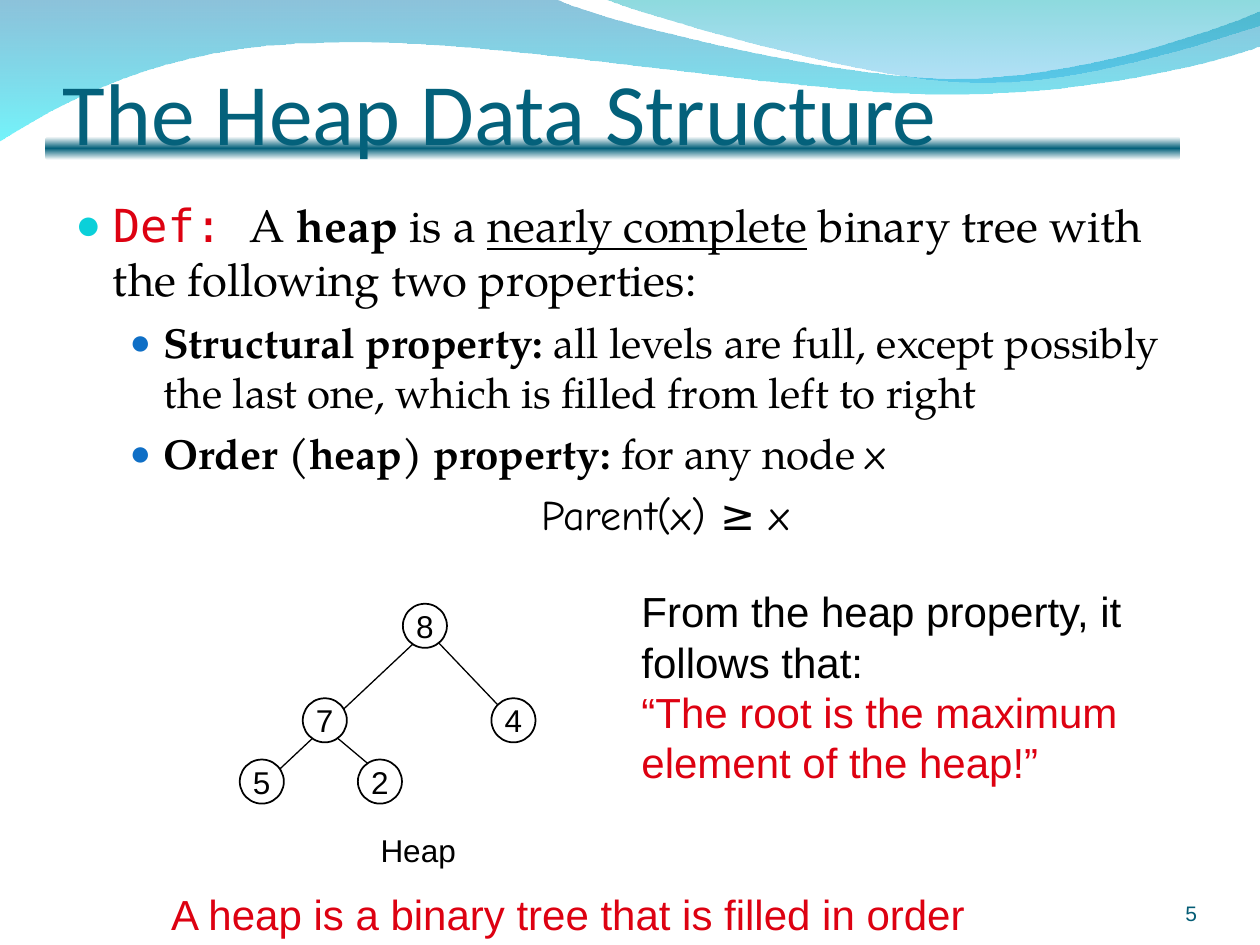
from copy import deepcopy
from lxml import etree
from pptx import Presentation
from pptx.dml.color import RGBColor
from pptx.enum.shapes import MSO_CONNECTOR as CONN, MSO_SHAPE as SHAPE
from pptx.enum.text import MSO_ANCHOR as ANCHOR, MSO_AUTO_SIZE as AUTO, PP_ALIGN as ALIGN
from pptx.oxml.ns import qn
from pptx.util import Pt

BLACK = RGBColor(0x00, 0x00, 0x00)
WHITE = RGBColor(0xFF, 0xFF, 0xFF)
RED = RGBColor(0xDD, 0x01, 0x11)
TEAL = RGBColor(0x04, 0x61, 0x7B)
NUMBER = RGBColor(0x04, 0x5C, 0x75)
CYAN = RGBColor(0x0B, 0xD0, 0xD9)
BLUE = RGBColor(0x0F, 0x6F, 0xC6)
WAVE_BLUE = RGBColor(0x00, 0x79, 0xAF)
WAVE_AQUA = RGBColor(0x00, 0xEB, 0xF8)
CREST_GREEN = RGBColor(0x00, 0xAD, 0xB6)
CREST_BLUE = RGBColor(0x00, 0x9B, 0xE5)

SERIF, MONO, HAND = "TeX Gyre Pagella", "DejaVu Sans Mono", "Comic Neue"


def fill_gradient(sp, stops):
    """Fill top to bottom with (position %, colour, opacity %) stops, no line."""
    sp.shadow.inherit = False
    sp.line.fill.background()
    sp.fill.gradient()
    sp.fill.gradient_angle = 270
    gs_list = sp.element.spPr.find(qn("a:gradFill")).find(qn("a:gsLst"))
    while len(gs_list) < len(stops):
        gs_list.append(deepcopy(gs_list[0]))
    for gs, stop, (pos, color, opacity) in zip(gs_list, sp.fill.gradient_stops, stops):
        stop.position = pos / 100
        stop.color.rgb = color
        if opacity < 100:
            etree.SubElement(gs[0], qn("a:alpha")).set("val", str(opacity * 1000))


def add_run(p, text, font, size, color, bold=False, underline=False):
    r = p.add_run()
    r.text = text
    r.font.name, r.font.size, r.font.color.rgb = font, Pt(size), color
    r.font.bold, r.font.underline = bold, underline


prs = Presentation()
prs.slide_width, prs.slide_height = Pt(720), Pt(540)
s = prs.slides.add_slide(prs.slide_layouts[6])

# Waves at the top: one point makes a line, three make a Bezier curve
WAVES = [
    ([[(0, -0.7)], [(316.8, -0.7)],
      [(343, 12), (478, 45), (546, 45)], [(614, 45), (690, 19), (720, 6.5)],
      [(720.7, 26)],
      [(708, 32), (626, 55), (537, 54)], [(448, 54), (275, 20), (185, 24.5)],
      [(93, 25), (33, 60), (-0.7, 81)]],
     [(0, WAVE_BLUE, 45), (100, WAVE_AQUA, 55)]),
    ([[(345, -0.7)],
      [(366, 8), (491, 45), (554, 47)], [(616, 50), (692, 23), (720, 15)],
      [(720, 0)]],
     [(0, CREST_GREEN, 45), (100, CREST_BLUE, 30)]),
]
for segments, stops in WAVES:
    # Hundredths of a point keep the outline exact
    points = [(x * 100, y * 100) for seg in segments for x, y in seg]
    builder = s.shapes.build_freeform(*points[0], scale=Pt(1) / 100)
    builder.add_line_segments(points[1:], close=True)
    sp = builder.convert_to_shape()
    # Join each run of three line steps into one curve
    steps = sp.element.spPr.iter(qn("a:lnTo"))
    steps = iter(list(steps))
    for seg in segments[1:]:
        first, *rest = [next(steps) for _ in seg]
        if rest:
            curve = etree.Element(qn("a:cubicBezTo"))
            first.addprevious(curve)
            for step in (first, *rest):
                curve.append(step[0])
                step.getparent().remove(step)
    fill_gradient(sp, stops)

# Bar under the title
bar = s.shapes.add_shape(SHAPE.ROUNDED_RECTANGLE, Pt(26), Pt(78), Pt(648.5), Pt(13.5))
fill_gradient(bar, [(0, WHITE, 100), (50, TEAL, 100), (100, WHITE, 100)])

# Title
tf = s.shapes.add_textbox(Pt(36), Pt(3.3), Pt(648), Pt(90)).text_frame
tf.word_wrap = True
tf.vertical_anchor = ANCHOR.BOTTOM
tf.margin_left = tf.margin_right = tf.margin_bottom = 0
add_run(tf.paragraphs[0], "The Heap Data Structure", "Calibri", 50, TEAL)

# Definition: margin, indent, space before, bullet colour, bullet size, text size, runs
DEFINITION = [
    (21.4, -21.4, 0, CYAN, 95, 26, [
        ("Def: ", MONO, RED), ("A ", SERIF, BLACK), ("heap", SERIF, BLACK, True),
        (" is a ", SERIF, BLACK), ("nearly complete", SERIF, BLACK, False, True),
        (" binary tree with the following two properties:", SERIF, BLACK)]),
    (50.4, -19.4, 6, BLUE, 85, 24, [
        ("Structural property:", SERIF, BLACK, True),
        (" all levels are full, except possibly the last one, "
         "which is filled from left to right", SERIF, BLACK)]),
    (50.4, -19.4, 6, BLUE, 85, 24, [
        ("Order (heap) property:", SERIF, BLACK, True),
        (" for any node ", SERIF, BLACK), ("x", HAND, BLACK)]),
    (266.4, 0, 6, None, 0, 24, [("Parent(x) ≥ x", HAND, BLACK)]),
]
tf = s.shapes.add_textbox(Pt(36), Pt(109), Pt(648), Pt(345.6)).text_frame
tf.word_wrap = True
for i, (margin, indent, before, dot, dot_size, size, runs) in enumerate(DEFINITION):
    p = tf.add_paragraph() if i else tf.paragraphs[0]
    p.level = min(i, 1)
    p.space_before = Pt(before)
    pPr = p._p.get_or_add_pPr()
    pPr.set("marL", str(Pt(margin)))
    pPr.set("indent", str(Pt(indent)))
    if dot:
        etree.SubElement(etree.SubElement(pPr, qn("a:buClr")), qn("a:srgbClr")).set("val", str(dot))
        etree.SubElement(pPr, qn("a:buSzPct")).set("val", str(dot_size * 1000))
        etree.SubElement(pPr, qn("a:buFont")).set("typeface", "Arial")
        etree.SubElement(pPr, qn("a:buChar")).set("char", "●")
    for text, font, color, *style in runs:
        add_run(p, text, font, size, color, *style)

# Tree edges
EDGES = [(192.2, 421.2, 211, 437), (145.5, 453, 247.7, 357), (292.3, 411, 235.5, 351.4)]
for x1, y1, x2, y2 in EDGES:
    edge = s.shapes.add_connector(CONN.STRAIGHT, Pt(x1), Pt(y1), Pt(x2), Pt(y2))
    edge.line.color.rgb, edge.line.width = BLACK, Pt(0.75)
    etree.SubElement(edge.element.spPr, qn("a:effectLst"))

# Tree nodes
NODE = 25.2
LEVELS = [345, 399, 434]
NODES = [("5", 137, 2), ("7", 173, 1), ("8", 230.2, 0), ("4", 280.8, 1), ("2", 204.5, 2)]
for key, x, level in NODES:
    sp = s.shapes.add_shape(SHAPE.OVAL, Pt(x), Pt(LEVELS[level]), Pt(NODE), Pt(NODE))
    sp.shadow.inherit = False
    sp.fill.solid()
    sp.fill.fore_color.rgb = WHITE
    sp.line.color.rgb, sp.line.width = BLACK, Pt(1)
    tf = sp.text_frame
    tf.word_wrap = False
    tf.vertical_anchor = ANCHOR.MIDDLE
    p = tf.paragraphs[0]
    p.alignment = ALIGN.CENTER
    add_run(p, key, "Arial", 18, BLACK)

# Caption, remark and summary: box, wrap, alignment, size, lines
NOTES = [
    ((210.2, 471.3, 57.6, 29), False, ALIGN.CENTER, 18, [("Heap", BLACK)]),
    ((359.5, 331.2, 296, 122.4), True, ALIGN.LEFT, 24, [
        ("From the heap property, it follows that:", BLACK),
        ("“The root is the maximum", RED), ("element of the heap!”", RED)]),
    ((90.7, 504, 489, 36), True, ALIGN.LEFT, 24,
     [("A heap is a binary tree that is filled in order", RED)]),
]
for box, wrap, align, size, lines in NOTES:
    tf = s.shapes.add_textbox(*map(Pt, box)).text_frame
    tf.word_wrap = wrap
    tf.auto_size = AUTO.SHAPE_TO_FIT_TEXT
    for i, (text, color) in enumerate(lines):
        p = tf.add_paragraph() if i else tf.paragraphs[0]
        p.alignment = align
        add_run(p, text, "Arial", size, color)

# Slide number
tf = s.shapes.add_textbox(Pt(624), Pt(500.4), Pt(60), Pt(28.8)).text_frame
tf.word_wrap = True
tf.vertical_anchor = ANCHOR.BOTTOM
tf.margin_left = tf.margin_top = tf.margin_right = tf.margin_bottom = 0
p = tf.paragraphs[0]
p.alignment = ALIGN.RIGHT
add_run(p, "5", "Arial", 12, NUMBER)

prs.save("out.pptx")
